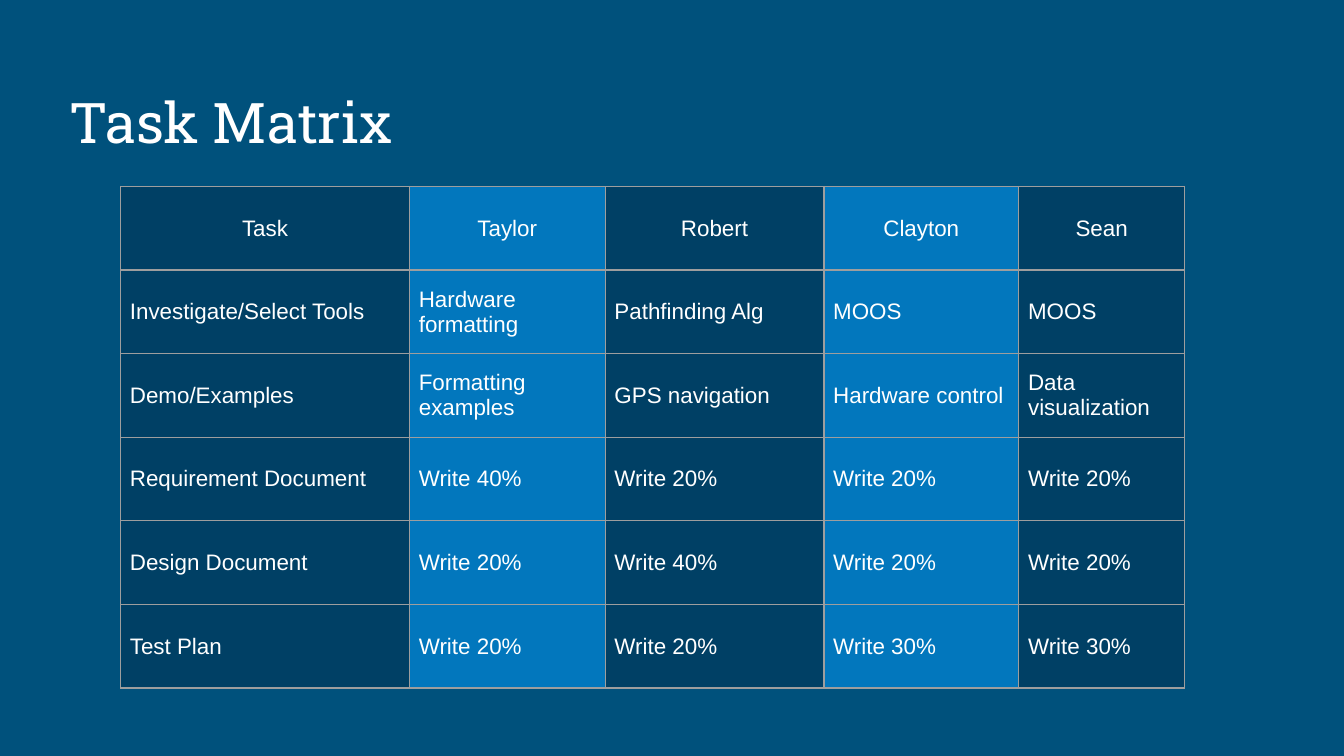
from lxml import etree
from pptx import Presentation
from pptx.dml.color import RGBColor
from pptx.enum.text import MSO_ANCHOR, MSO_AUTO_SIZE, PP_ALIGN
from pptx.oxml.ns import qn
from pptx.util import Pt

MIDDLE, BOTTOM = MSO_ANCHOR.MIDDLE, MSO_ANCHOR.BOTTOM
LEFT, CENTER = PP_ALIGN.LEFT, PP_ALIGN.CENTER
NO_AUTOFIT = MSO_AUTO_SIZE.NONE

BACKGROUND = RGBColor(0x00, 0x51, 0x7C)
DARK_BLUE = RGBColor(0x00, 0x40, 0x65)
BRIGHT_BLUE = RGBColor(0x02, 0x77, 0xBD)
BORDER = RGBColor(0x9E, 0x9E, 0x9E)
WHITE = RGBColor(0xFF, 0xFF, 0xFF)

TITLE = "Task Matrix"
TASKS = [
    ("Task", "Taylor", "Robert", "Clayton", "Sean"),
    ("Investigate/Select Tools", "Hardware formatting", "Pathfinding Alg", "MOOS", "MOOS"),
    ("Demo/Examples", "Formatting examples", "GPS navigation", "Hardware control", "Data visualization"),
    ("Requirement Document", "Write 40%", "Write 20%", "Write 20%", "Write 20%"),
    ("Design Document", "Write 20%", "Write 40%", "Write 20%", "Write 20%"),
    ("Test Plan", "Write 20%", "Write 20%", "Write 30%", "Write 30%"),
]
COLUMN_WIDTHS = [154.8, 104.8, 117.2, 104.4, 88.8]
COLUMN_FILLS = [DARK_BLUE, BRIGHT_BLUE]
ROW_HEIGHT = 44.8


def write(frame, text, size, font, align=LEFT):
    para = frame.paragraphs[0]
    para.alignment = align
    span = para.add_run()
    span.text = text
    span.font.size = Pt(size)
    span.font.name = font
    span.font.color.rgb = WHITE


def add_borders(cell, width=0.75):
    properties = cell._tc.get_or_add_tcPr()
    for position, side in enumerate(("a:lnL", "a:lnR", "a:lnT", "a:lnB")):
        line = etree.Element(qn(side), w=str(Pt(width)))
        fill = etree.SubElement(line, qn("a:solidFill"))
        etree.SubElement(fill, qn("a:srgbClr"), val=str(BORDER))
        properties.insert(position, line)


def add_title(page):
    title = page.shapes.title
    title.left, title.top, title.width, title.height = Pt(30.2), Pt(36), Pt(658.8), Pt(54)
    frame = title.text_frame
    frame.auto_size = NO_AUTOFIT
    frame.word_wrap = True
    frame.vertical_anchor = BOTTOM
    frame.margin_left = frame.margin_right = frame.margin_top = frame.margin_bottom = Pt(7.2)
    write(frame, TITLE, size=30, font="Roboto Slab")


def add_matrix(page):
    table = page.shapes.add_table(
        len(TASKS), len(COLUMN_WIDTHS), Pt(64.6), Pt(99.9),
        Pt(sum(COLUMN_WIDTHS)), Pt(ROW_HEIGHT * len(TASKS))).table
    table.first_row = table.horz_banding = False
    for column, width in zip(table.columns, COLUMN_WIDTHS):
        column.width = Pt(width)
    for row_index, texts in enumerate(TASKS):
        table.rows[row_index].height = Pt(ROW_HEIGHT)
        for column_index, text in enumerate(texts):
            cell = table.cell(row_index, column_index)
            cell.fill.solid()
            cell.fill.fore_color.rgb = COLUMN_FILLS[column_index % 2]
            cell.vertical_anchor = MIDDLE
            cell.margin_left = cell.margin_right = cell.margin_top = cell.margin_bottom = Pt(5)
            add_borders(cell)
            write(cell.text_frame, text, size=12, font="Arial",
                  align=CENTER if row_index == 0 else LEFT)


def main():
    deck = Presentation()
    deck.slide_width, deck.slide_height = Pt(720), Pt(405)
    page = deck.slides.add_slide(deck.slide_layouts.get_by_name("Title Only"))
    page.background.fill.solid()
    page.background.fill.fore_color.rgb = BACKGROUND
    add_title(page)
    add_matrix(page)
    deck.save("out.pptx")


if __name__ == "__main__":
    main()
